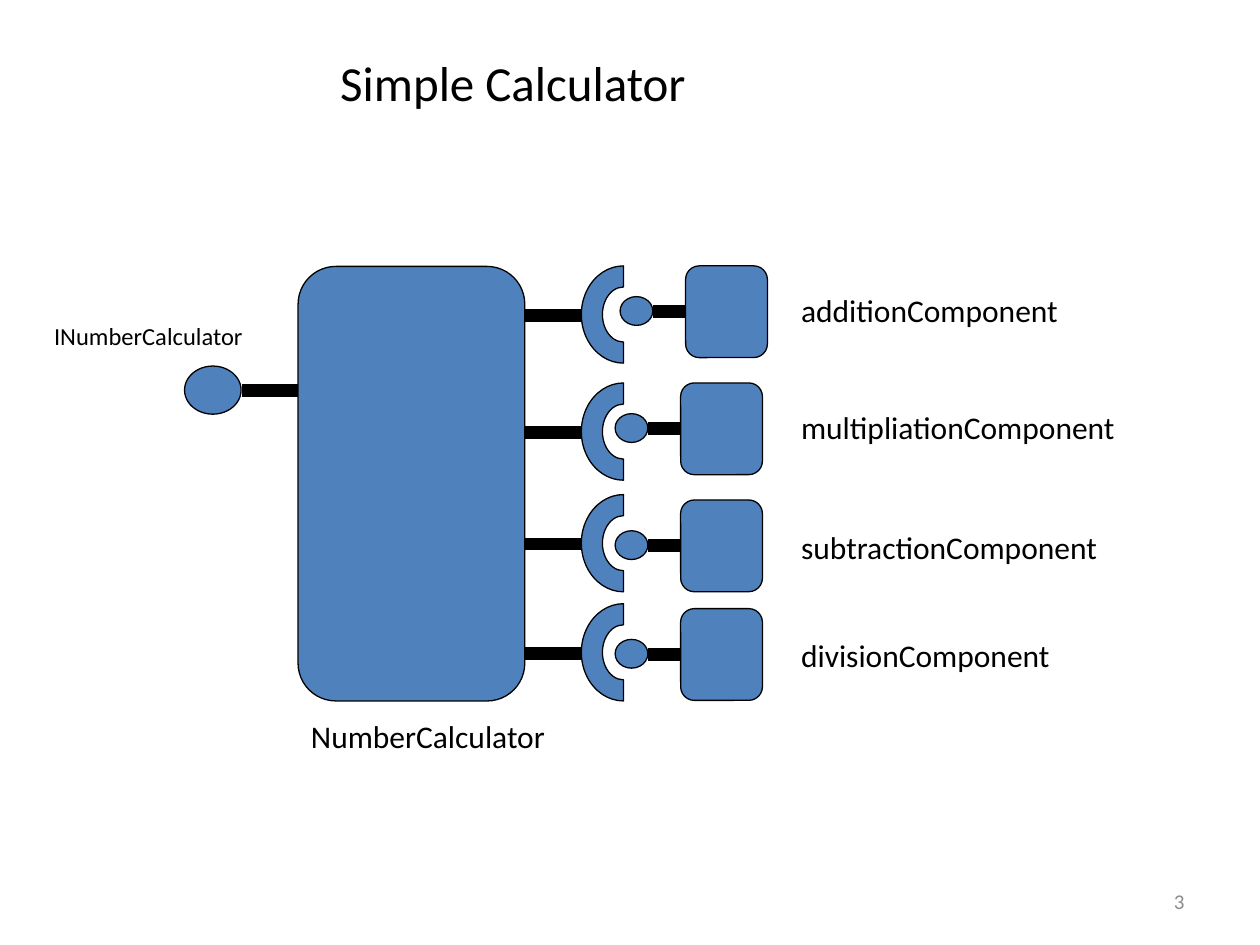
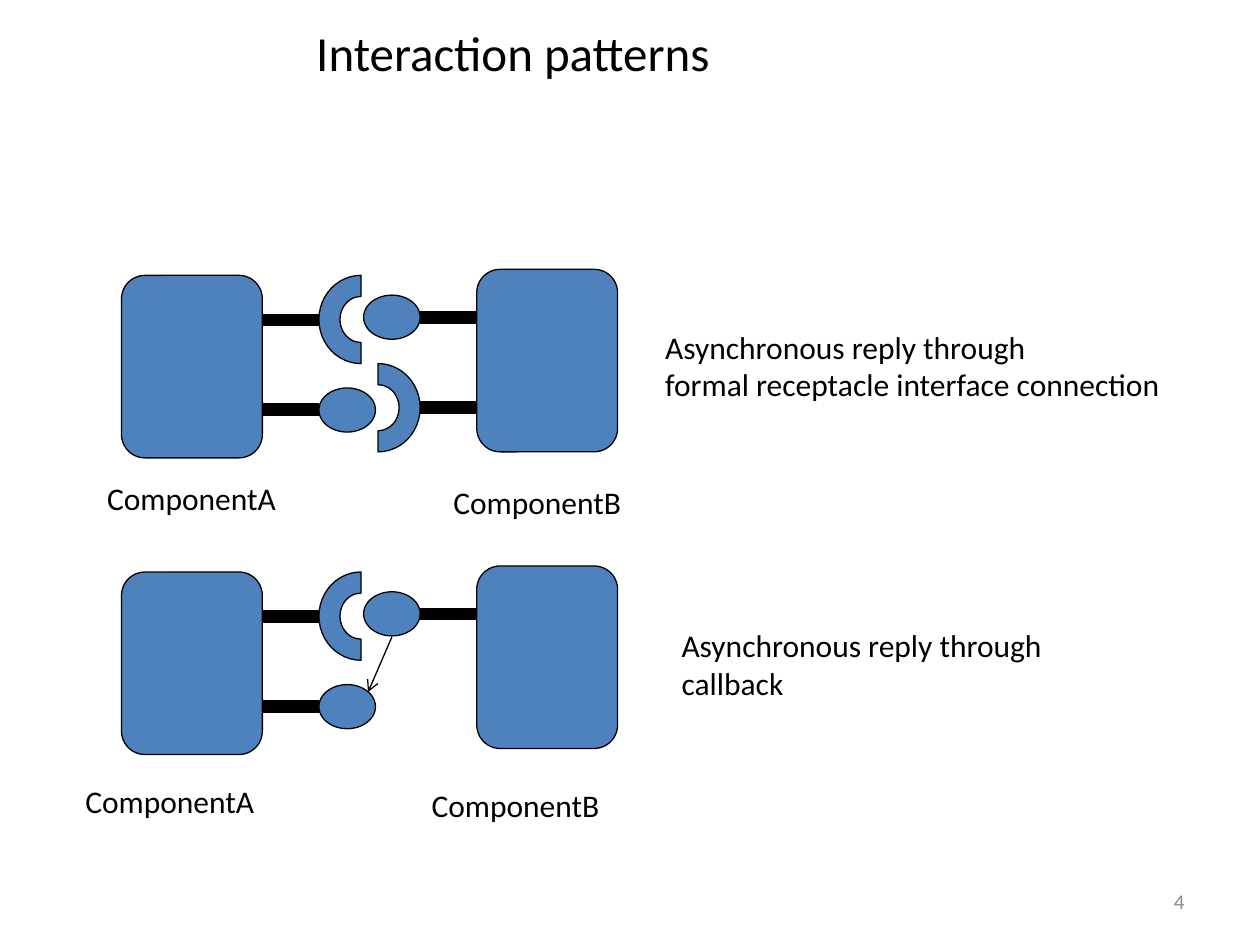
import pptx
import pptx.util
import pptx.dml.color
import pptx.enum.shapes
import pptx.enum.text
import pptx.oxml.ns
import lxml.etree

Cm = pptx.util.Cm
Pt = pptx.util.Pt
PRESET = pptx.enum.shapes.MSO_SHAPE
ALIGN = pptx.enum.text.PP_ALIGN
ANCHOR = pptx.enum.text.MSO_ANCHOR
AUTOSIZE = pptx.enum.text.MSO_AUTO_SIZE

COLORS = {"part": "4F81BD", "ink": "000000", "number": "8C8C8C"}
FONT = "Calibri"
FRAME_FORMATS = {
    "title": {"word_wrap": True, "vertical_anchor": ANCHOR.MIDDLE},
    "number": {"word_wrap": True, "vertical_anchor": ANCHOR.MIDDLE},
    "label": {"word_wrap": False, "auto_size": AUTOSIZE.SHAPE_TO_FIT_TEXT},
}
ROD_WIDTH = 7.2
ROD_LENGTH = 1.14


def color(key):
    return pptx.dml.color.RGBColor.from_string(COLORS[key])


def apply_formats(target, formats):
    for attribute, value in formats.items():
        setattr(target, attribute, value)


def add_words(slide, words, box, role="label", size=18, ink="ink", align=ALIGN.LEFT):
    caption = slide.shapes.add_textbox(*(Cm(v) for v in box))
    frame = caption.text_frame
    apply_formats(frame, FRAME_FORMATS[role])
    paragraph = frame.paragraphs[0]
    paragraph.text = words
    paragraph.alignment = align
    for run in paragraph.runs:
        apply_formats(run.font, {"size": Pt(size), "name": FONT})
        run.font.color.rgb = color(ink)
    return frame


def add_part(slide, preset, box, rotation):
    left, top, width, height = box
    part = slide.shapes.add_shape(
        preset,
        Cm(left + (width - height) / 2),
        Cm(top + (height - width) / 2),
        Cm(height),
        Cm(width),
    )
    part.rotation = rotation
    part.shadow.inherit = False
    part.fill.solid()
    part.fill.fore_color.rgb = color("part")
    part.line.color.rgb = color("ink")
    part.line.width = Pt(0.74)


def add_rod(slide, start, end, width=ROD_WIDTH, arrow=False):
    rod = slide.shapes.add_connector(
        pptx.enum.shapes.MSO_CONNECTOR.STRAIGHT, *(Cm(v) for v in start + end)
    )
    rod.line.color.rgb = color("ink")
    rod.line.width = Pt(width)
    if arrow:
        tail = lxml.etree.SubElement(
            rod.line._get_or_add_ln(), pptx.oxml.ns.qn("a:tailEnd")
        )
        tail.set("type", "arrow")
    lxml.etree.SubElement(rod._element.spPr, pptx.oxml.ns.qn("a:effectLst"))


def start_slide(deck, title, number, title_lift=0):
    slide = deck.slides.add_slide(deck.slide_layouts[6])
    add_words(slide, str(number), (18.21, 17.65, 5.92, 1.02), "number",
              12, "number", ALIGN.RIGHT)
    frame = add_words(slide, title, (1.73, 0.33, 17.22, 2.64), "title",
                      28, align=ALIGN.CENTER)
    frame.margin_bottom = Cm(0.13 + title_lift)
    return slide


def add_calculator(slide, box):
    left, top, width, height = box
    add_part(slide, PRESET.ROUNDED_RECTANGLE, box, 270)
    add_part(slide, PRESET.OVAL, (left - 2.29, top + 2.01, 1.14, 0.97), 90)
    add_rod(slide, (left, top + 2.5), (left - ROD_LENGTH, top + 2.5))
    add_words(slide, "NumberCalculator", (left + 0.01, top + 8.96, 5.69, 1.02))
    add_words(slide, "INumberCalculator", (left - 5.17, top + 0.98, 4.65, 0.86), size=14)


def add_receptacle(slide, left, top):
    socket = left + ROD_LENGTH
    add_rod(slide, (left, top + 1), (socket, top + 1))
    add_part(slide, PRESET.BLOCK_ARC, (socket, top, 1.7, 1.96), 270)


def add_operation(slide, left, top):
    add_part(slide, PRESET.ROUNDED_RECTANGLE, (left, top, 1.65, 1.85), 90)
    add_part(slide, PRESET.OVAL, (left - 1.32, top + 0.62, 0.66, 0.58), 90)
    add_rod(slide, (left, top + 0.92), (left - 0.66, top + 0.92))


def add_component(slide, box, flipped=False, receptacle=True, facet=True):
    left, top, width, height = box
    rotation = 90 if flipped else 270

    def place(x, y, w=0, h=0):
        if flipped:
            return left + width - x - w, top + height - y - h
        return left + x, top + y

    def rod(y):
        add_rod(slide, place(width, y), place(width + ROD_LENGTH, y))

    def attach(preset, y, w, h):
        corner = place(width + ROD_LENGTH, y, w, h)
        add_part(slide, preset, corner + (w, h), rotation)

    add_part(slide, PRESET.ROUNDED_RECTANGLE, box, rotation)
    if receptacle:
        rod(0.9)
        attach(PRESET.BLOCK_ARC, 0, 1.7, 1.78)
    if facet:
        rod(2.71)
        attach(PRESET.OVAL, 2.27, 1.14, 0.89)


def add_interaction(slide, left, top, label_corner, note, note_box, callback=False):
    add_component(slide, (left, top, 2.84, 3.68))
    add_component(slide, (left + 7.16, top - 0.12, 2.84, 3.68),
                  flipped=True, receptacle=not callback)
    if callback:
        add_rod(slide, (left + 5.45, top + 1.31), (left + 4.97, top + 2.42), 0.75, True)
    x, y = label_corner
    add_words(slide, "ComponentA", (x, y, 4.24, 1.02))
    add_words(slide, "ComponentB", (x + 6.98, y + 0.08, 4.24, 1.02))
    add_words(slide, note, note_box)


def build_calculator_slide(deck):
    slide = start_slide(deck, "Simple Calculator", 3)
    body = (6.01, 5.37, 4.57, 8.76)
    add_calculator(slide, body)
    operations = (
        ("additionComponent", 5.36, 13.82, 5.36, 5.74, 6.07),
        ("multipliationComponent", 7.72, 13.72, 7.72, 8.1, 7.21),
        ("subtractionComponent", 9.97, 13.72, 10.08, 10.52, 6.96),
        ("divisionComponent", 12.17, 13.72, 12.27, 12.7, 5.97),
    )
    for name, socket_top, left, top, label_top, label_width in operations:
        add_operation(slide, left, top)
        add_receptacle(slide, body[0] + body[2], socket_top)
        add_words(slide, name, (15.9, label_top, label_width, 1.02))


def build_patterns_slide(deck):
    slide = start_slide(deck, "Interaction patterns", 4, title_lift=1.19)
    add_interaction(
        slide, 2.45, 5.55, (1.91, 9.53),
        "Asynchronous reply through\vformal receptacle interface connection",
        (13.16, 6.48, 11.53, 1.8),
    )
    add_interaction(
        slide, 2.45, 11.53, (1.47, 15.65),
        "Asynchronous reply through\vcallback",
        (13.49, 12.5, 8.56, 1.8), callback=True,
    )


deck = pptx.Presentation()
apply_formats(deck, {"slide_width": Cm(25.4), "slide_height": Cm(19.05)})
build_calculator_slide(deck)
build_patterns_slide(deck)
deck.save("out.pptx")
